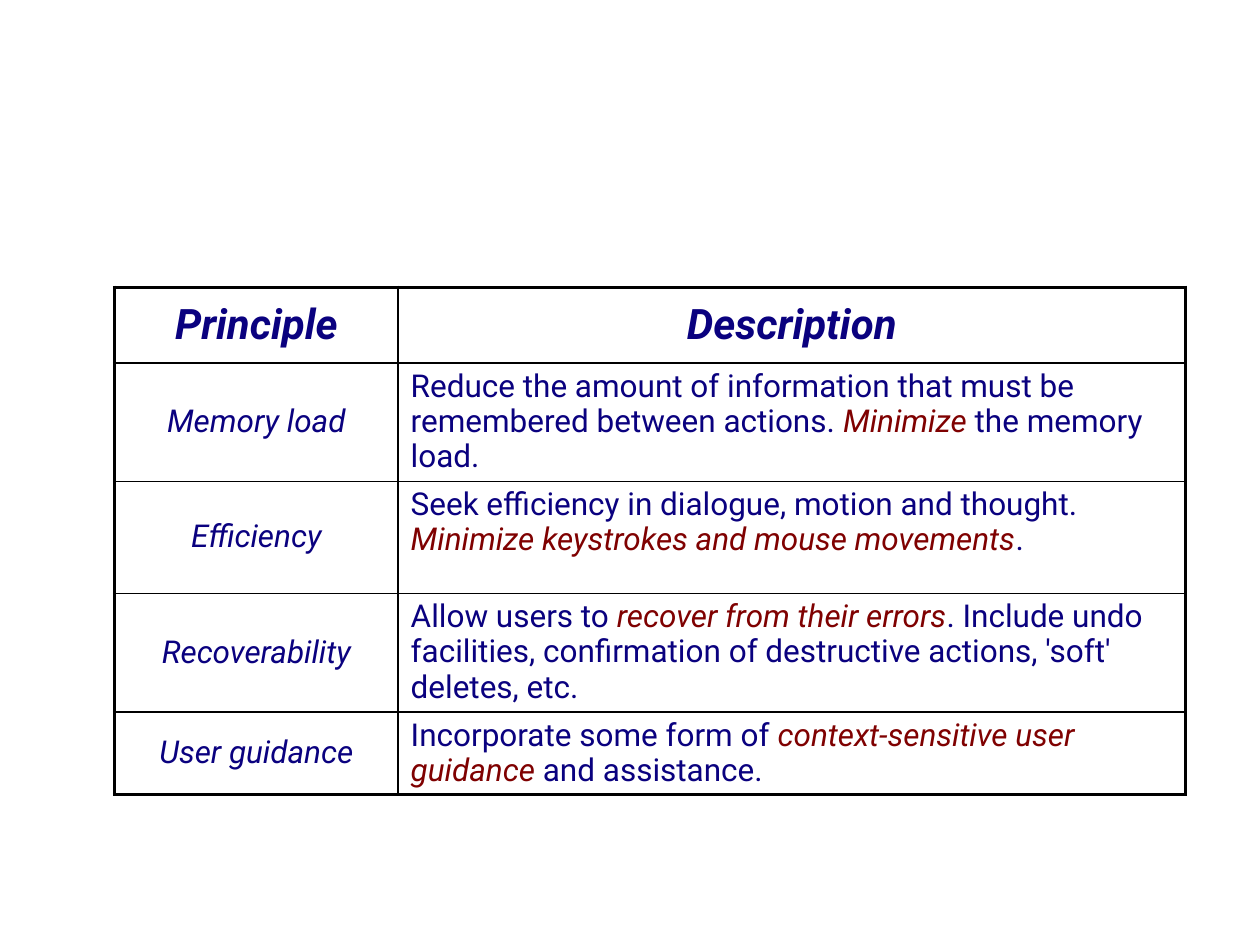
from lxml.etree import SubElement as Sub
from pptx import Presentation
from pptx.dml.color import RGBColor as RGB
from pptx.enum.text import MSO_ANCHOR as Anchor, PP_ALIGN as Align
from pptx.oxml.ns import qn
from pptx.util import Inches, Pt

HUES = {"navy": "0A017F", "red": "7F0101", "line": "000000"}
FONT = "Roboto"
THIN, THICK = 1, 2.25
WIDTHS = [2.25, 6.25]
HEIGHTS = [0.6, 0.94, 0.89, 0.94, 0.65]

HEADS = ["Principle", "Description"]
# Principle, then plain text, stressed text, plain text
ROWS = [
    ("Memory load",
     "Reduce the amount of information that must be remembered between actions. ",
     "Minimize", " the memory load."),
    ("Efficiency",
     "Seek efficiency in dialogue, motion and thought. ",
     "Minimize keystrokes and mouse movements", "."),
    ("Recoverability",
     "Allow users to ", "recover from their errors",
     ". Include undo facilities, confirmation of destructive actions, "
     "'soft' deletes, etc."),
    ("User guidance",
     "Incorporate some form of ", "context-sensitive user guidance",
     " and assistance."),
]


def add_text(para, text, size=18, hue="navy", bold=False, italic=False):
    run = para.add_run()
    run.text = text
    font = run.font
    font.name, font.size = FONT, Pt(size)
    font.bold, font.italic = bold, italic
    font.color.rgb = RGB.from_string(HUES[hue])


def set_para(cell, center=False):
    """Set spacing and alignment; return the cell's paragraph."""
    para = cell.text_frame.paragraphs[0]
    para.line_spacing = 0.95
    props = para._p.get_or_add_pPr()
    Sub(Sub(props, qn("a:spcBef")), qn("a:spcPct"), val="20000")
    para.alignment = Align.CENTER if center else Align.LEFT
    cell.vertical_anchor = Anchor.MIDDLE if center else Anchor.TOP
    return para


def set_edges(cell, row, col):
    """Draw thick lines on the table's outside and thin ones within."""
    outer = {"L": col == 0, "R": col == len(WIDTHS) - 1,
             "T": row == 0, "B": row == len(HEIGHTS) - 1}
    props = cell._tc.get_or_add_tcPr()
    for side, thick in outer.items():
        line = Sub(props, qn(f"a:ln{side}"), w=str(Pt(THICK if thick else THIN)))
        fill = Sub(line, qn("a:solidFill"))
        Sub(fill, qn("a:srgbClr"), val=HUES["line"])
    cell.fill.background()


def add_grid(slide):
    frame = slide.shapes.add_table(
        len(HEIGHTS), len(WIDTHS), Inches(0.91), Inches(2.28),
        Inches(sum(WIDTHS)), Inches(sum(HEIGHTS)))
    table = frame.table
    table.first_row = table.horz_banding = False
    for col, width in enumerate(WIDTHS):
        table.columns[col].width = Inches(width)
    for row, height in enumerate(HEIGHTS):
        table.rows[row].height = Inches(height)
        for col in range(len(WIDTHS)):
            set_edges(table.cell(row, col), row, col)
    return table


def fill_grid(table):
    # Heading row
    for col, head in enumerate(HEADS):
        para = set_para(table.cell(0, col), center=True)
        add_text(para, head, size=24, bold=True, italic=True)
    # Principles and their descriptions
    for row, (name, start, stress, end) in enumerate(ROWS, 1):
        add_text(set_para(table.cell(row, 0), center=True), name, italic=True)
        para = set_para(table.cell(row, 1))
        add_text(para, start)
        add_text(para, stress, hue="red", italic=True)
        add_text(para, end)


def main():
    deck = Presentation()
    deck.slide_width, deck.slide_height = Inches(10), Inches(7.5)
    slide = deck.slides.add_slide(deck.slide_layouts[6])
    fill_grid(add_grid(slide))
    deck.save("out.pptx")


if __name__ == "__main__":
    main()
